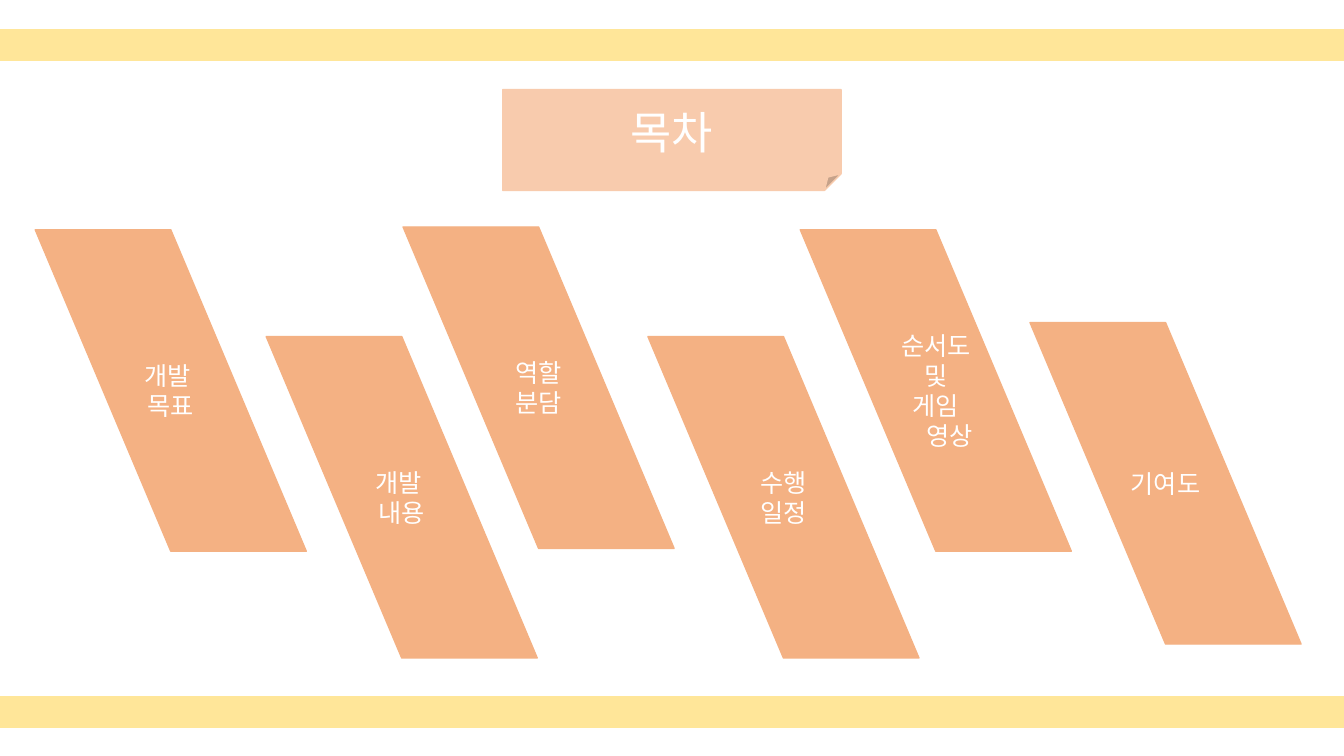
from pptx import Presentation
from pptx.dml.color import RGBColor
from pptx.enum.shapes import MSO_SHAPE as Preset
from pptx.enum.text import MSO_ANCHOR as Anchor, PP_ALIGN as Align
from pptx.oxml.ns import qn
from pptx.util import Cm, Pt
from lxml import etree

YELLOW = RGBColor(0xFF, 0xE6, 0x99)
PEACH = RGBColor(0xF8, 0xCB, 0xAD)
ORANGE = RGBColor(0xF4, 0xB1, 0x83)
WHITE = RGBColor(0xFF, 0xFF, 0xFF)
FONT = "Noto Sans CJK KR"

deck = Presentation()
deck.slide_width = Cm(33.87)
deck.slide_height = Cm(19.05)
page = deck.slides.add_slide(deck.slide_layouts[6])


def add_box(preset, left, top, width, height, color):
    box = page.shapes.add_shape(preset, Cm(left), Cm(top), Cm(width), Cm(height))
    box.shadow.inherit = False
    box.fill.solid()
    box.fill.fore_color.rgb = color
    box.line.color.rgb = color
    box.line.width = Pt(1)
    return box


def write_lines(box, lines, size):
    frame = box.text_frame
    frame.word_wrap = True
    frame.vertical_anchor = Anchor.MIDDLE
    for index, line in enumerate(lines):
        para = frame.paragraphs[0] if index == 0 else frame.add_paragraph()
        para.alignment = Align.CENTER
        span = para.add_run()
        span.text = line
        span.font.size = Pt(size)
        span.font.name = FONT
        span.font.color.rgb = WHITE
        east_asian = etree.SubElement(span.font._element, qn("a:ea"))
        east_asian.set("typeface", FONT)


for band_top in (0.74, 17.55):
    add_box(Preset.RECTANGLE, 0, band_top, 33.87, 0.79, YELLOW)

title = add_box(Preset.FOLDED_CORNER, 12.67, 2.26, 8.53, 2.54, PEACH)
write_lines(title, ["목차"], 32)

topics = [
    (0.89, 5.79, ["개발 ", "목표"]),
    (6.71, 8.48, ["개발 ", "내용"]),
    (10.16, 5.72, ["역할", "분담"]),
    (16.33, 8.48, ["수행", "일정"]),
    (20.17, 5.79, ["순서도", "및", "게임", "영상"]),
    (25.96, 8.13, ["기여도"]),
]
for left, top, lines in topics:
    topic = add_box(Preset.PARALLELOGRAM, left, top, 6.83, 8.1, ORANGE)
    topic.adjustments[0] = 0.5
    topic.element.spPr.get_or_add_xfrm().set("flipH", "1")
    write_lines(topic, lines, 18)
    if lines[-1] == "영상":
        last_line = topic.text_frame.paragraphs[-1]
        last_line._p.get_or_add_pPr().set("marL", str(Cm(0.7)))

deck.save("out.pptx")
